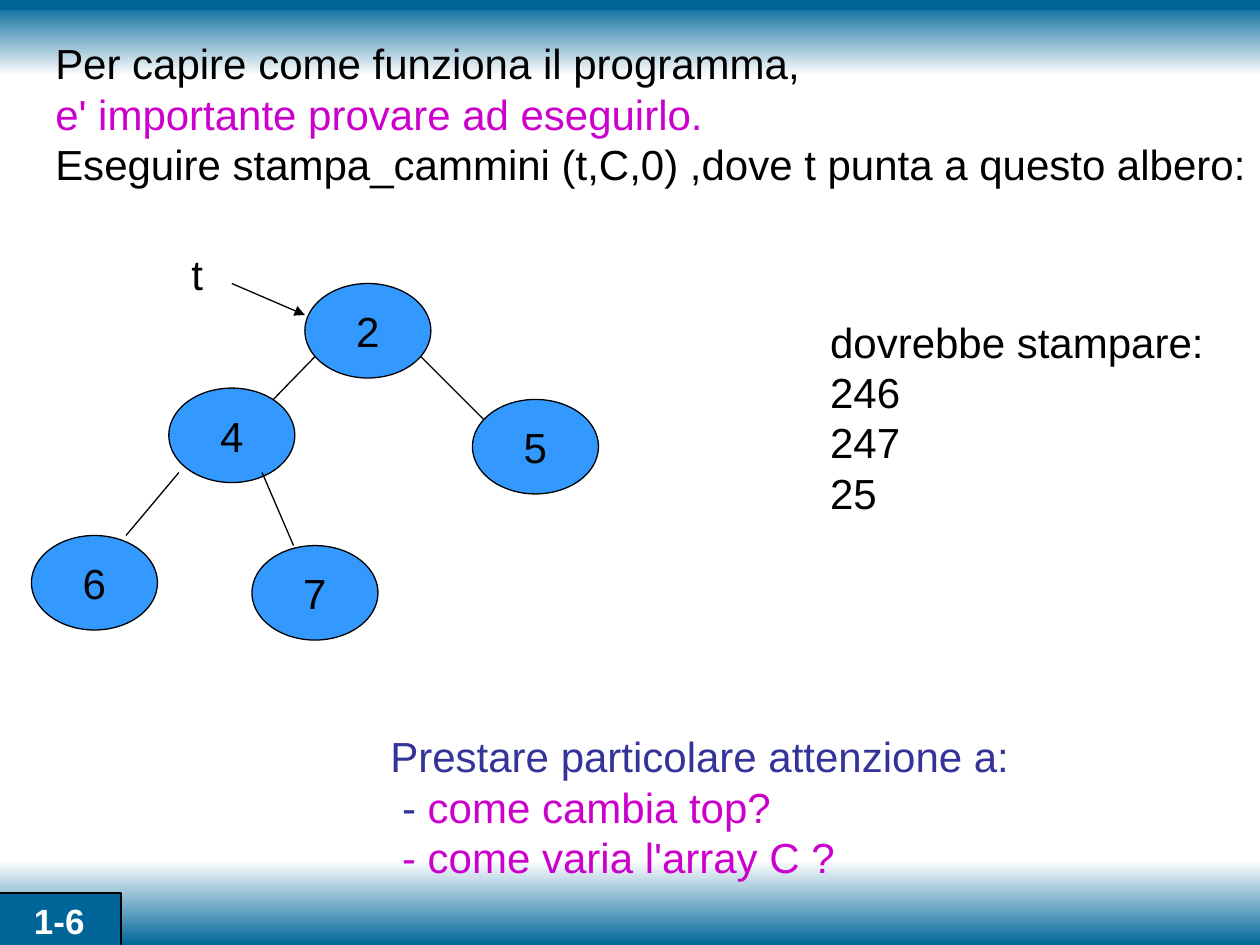
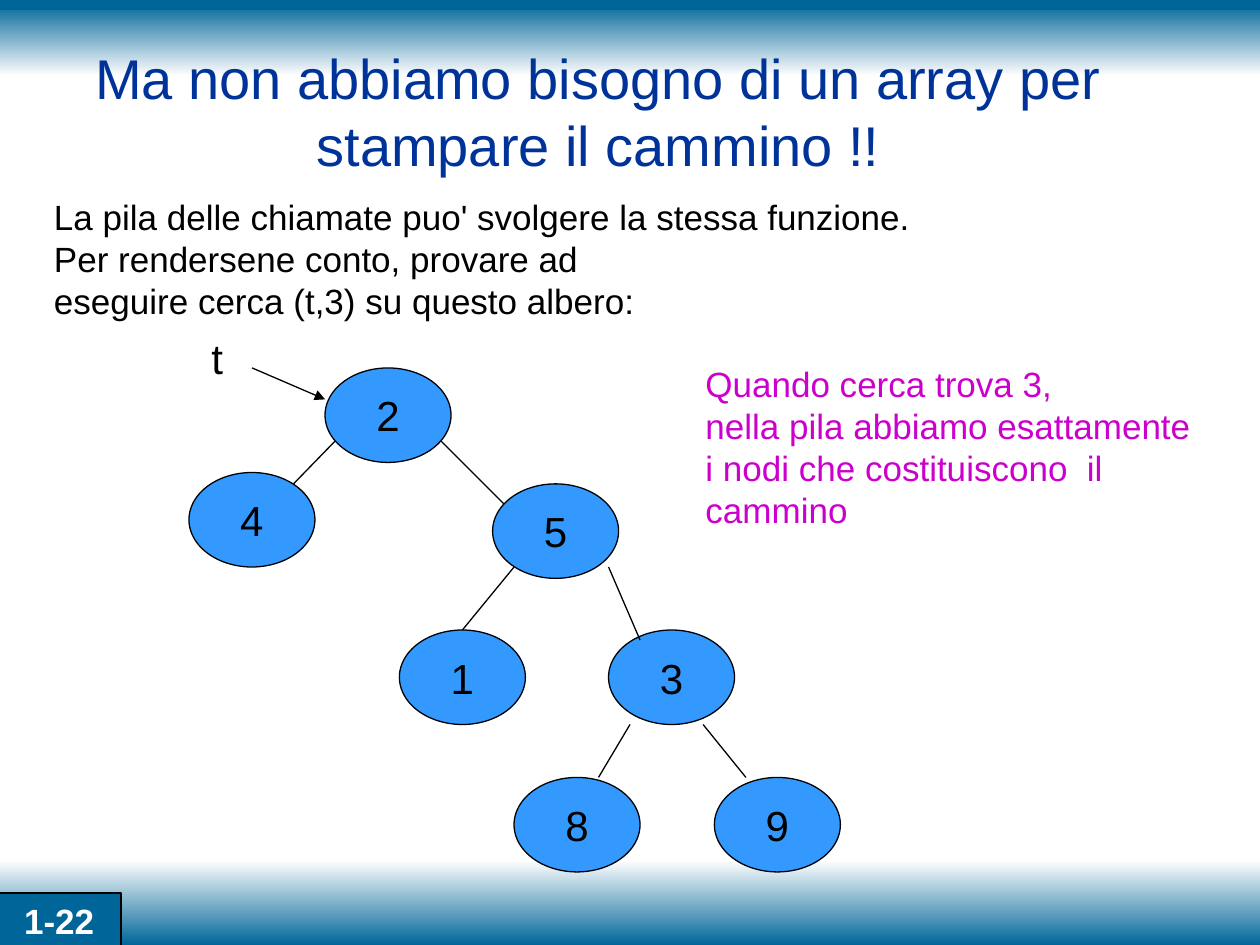
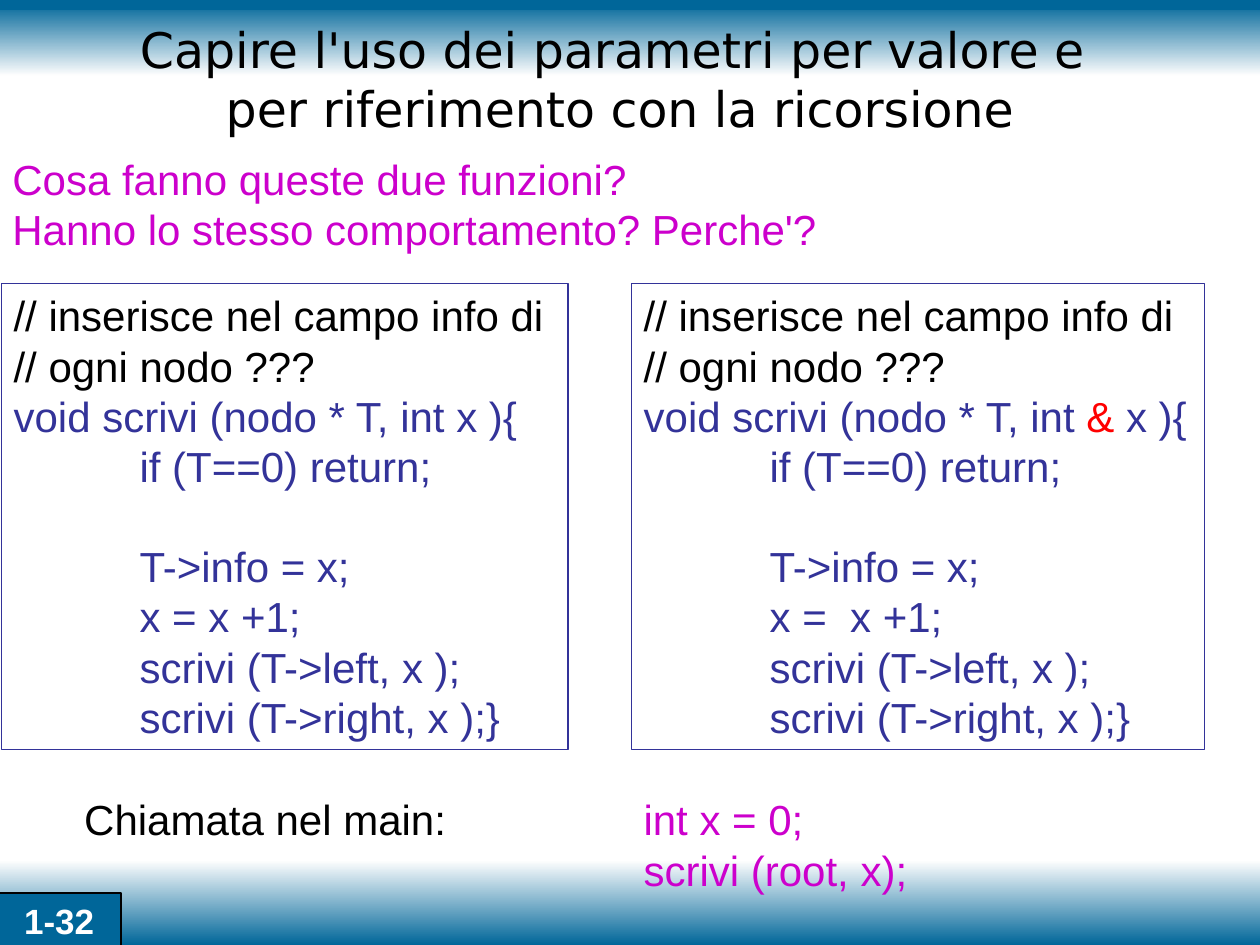
from copy import deepcopy

from pptx import Presentation
from pptx.dml.color import RGBColor
from pptx.enum.shapes import MSO_CONNECTOR, MSO_SHAPE
from pptx.enum.text import MSO_ANCHOR, MSO_AUTO_SIZE, PP_ALIGN
from pptx.oxml.ns import qn
from pptx.util import Inches, Pt
from lxml import etree

RECT, OVAL = MSO_SHAPE.RECTANGLE, MSO_SHAPE.OVAL
STRAIGHT = MSO_CONNECTOR.STRAIGHT
LEFT, CENTER = PP_ALIGN.LEFT, PP_ALIGN.CENTER
TOP, MIDDLE = MSO_ANCHOR.TOP, MSO_ANCHOR.MIDDLE
NO_FIT, GROW = MSO_AUTO_SIZE.NONE, MSO_AUTO_SIZE.SHAPE_TO_FIT_TEXT

BLACK, WHITE, PALE = "000000", "FFFFFF", "FEFEFE"
TEAL, NAVY, INDIGO = "006699", "003399", "333399"
PINK, RED, SKY = "CC00CC", "FF0000", "3399FF"
SANS, WIDE = "Arial", "DejaVu Sans"
NODE_W, NODE_H = 1, 0.75
CODE_GAP = 28


def rgb(code):
    return RGBColor.from_string(code)


def apply(target, style):
    for key, value in style.items():
        setattr(target, key, value)


def write(frame, lines, size=24, color=BLACK, align=LEFT, font=SANS, bold=False, **style):
    """Fill a frame; a line is a string or a list of (text, color) runs."""
    apply(frame, {"word_wrap": False, "auto_size": GROW, "vertical_anchor": TOP, **style})
    for i, line in enumerate(lines):
        para = frame.add_paragraph() if i else frame.paragraphs[0]
        para.alignment = align
        for text, tint in [(line, color)] if isinstance(line, str) else line:
            for j, part in enumerate(text.split("\v")):
                if j:
                    para.add_line_break()
                run = para.add_run()
                run.text = part
                apply(run.font, {"name": font, "size": Pt(size), "bold": bold})
                run.font.color.rgb = rgb(tint)
                if j:
                    brk = run._r.getprevious()
                    brk.append(deepcopy(run._r.rPr))


def shape(slide, kind, box, fill=None, line=None, width=0.75):
    item = slide.shapes.add_shape(kind, *map(Inches, box))
    item.shadow.inherit = False
    if fill:
        item.fill.solid()
        item.fill.fore_color.rgb = rgb(fill)
    else:
        item.fill.background()
    if line:
        item.line.color.rgb = rgb(line)
        item.line.width = Pt(width)
    else:
        item.line.fill.background()
    return item


def label(slide, box, lines, **style):
    write(slide.shapes.add_textbox(*map(Inches, box)).text_frame, lines, **style)


def link(slide, x1, y1, x2, y2, color=BLACK, width=0.75, arrow=False):
    line = slide.shapes.add_connector(STRAIGHT, *map(Inches, (x1, y1, x2, y2)))
    line.line.color.rgb = rgb(color)
    line.line.width = Pt(width)
    props = line.element.spPr
    if arrow:
        etree.SubElement(props.find(qn("a:ln")), qn("a:tailEnd"), type="triangle")
    etree.SubElement(props, qn("a:effectLst"))


def band(slide, top, height, first, last):
    item = shape(slide, RECT, (0, top, 10, height))
    item.fill.gradient()
    item.fill.gradient_angle = 270
    for stop, color in zip(item.fill.gradient_stops, (first, last)):
        stop.color.rgb = rgb(color)


def page(deck, number, layout=6):
    """Add a slide with its bands and page tag."""
    slide = deck.slides.add_slide(deck.slide_layouts[layout])
    band(slide, 0.02, 0.58, TEAL, PALE)
    band(slide, 6.83, 0.67, PALE, TEAL)
    link(slide, 0, 0.04, 10, 0.04, TEAL, 6)
    tag = shape(slide, RECT, (-0.02, 7.09, 0.98, 0.44), TEAL, BLACK, 1)
    write(tag.text_frame, [number], 20, WHITE, CENTER, bold=True, word_wrap=True)
    return slide


def titled(deck, number, text, left, top, **style):
    slide = page(deck, number, 5)
    title = slide.shapes.title
    box = dict(left=left, top=top, width=8.5, height=1.25)
    apply(title, {key: Inches(value) for key, value in box.items()})
    write(title.text_frame, [text], align=CENTER, word_wrap=True,
          auto_size=NO_FIT, vertical_anchor=MIDDLE, **style)
    title.element.getparent().append(title.element)  # in front of the bands
    return slide


def node(slide, text, x, y):
    item = shape(slide, OVAL, (x, y, NODE_W, NODE_H), SKY, BLACK)
    write(item.text_frame, [text], align=CENTER, auto_size=NO_FIT, vertical_anchor=MIDDLE)


def tree(slide, x, y, nodes, links):
    """Draw root 2 at x, y with children 4 and 5, then the lower nodes."""
    crown = [("2", x, y), ("5", x + 1.33, y + 0.92), ("4", x - 1.08, y + 0.83)]
    for item in crown + nodes:
        node(slide, *item)
    joins = [(x + 0.08, y + 0.58, x - 0.25, y + 0.92),
             (x + 0.92, y + 0.58, x + 1.42, y + 1.08)]
    for ends in joins + links:
        link(slide, *ends)
    link(slide, x - 0.58, y, x, y + 0.25, arrow=True)
    label(slide, (x - 1, y - 0.33, 0.29, 0.5), ["t"])


def tab_stop(para, inch):
    stops = etree.SubElement(para._p.get_or_add_pPr(), qn("a:tabLst"))
    etree.SubElement(stops, qn("a:tab"), pos=str(Inches(inch)), algn="l")


def code(slide, left, width, head, step):
    lines = ["// inserisce nel campo info di", "// ogni nodo ???", head]
    body = ["if (T==0) return;", "T->info = x;", step,
            "scrivi (T->left, x );", "scrivi (T->right, x );}"]
    lines += [[("\t" + line, INDIGO)] for line in body]
    frame = shape(slide, RECT, (left, 2.25, width, 3.7), line=INDIGO).text_frame
    write(frame, lines)
    for para in frame.paragraphs[3:]:
        tab_stop(para, 1)
    frame.paragraphs[4].space_before = Pt(CODE_GAP)


def run_slide(deck):
    slide = page(deck, "1-6")
    label(slide, (0.34, 0.25, 9.65, 1.3), [
        "Per capire come funziona il programma,",
        [("e' importante provare ad eseguirlo.", PINK)],
        "Eseguire stampa_cammini (t,C,0) ,dove t punta a questo albero:"])
    label(slide, (3, 5.75, 5.11, 1.3), [
        "Prestare particolare attenzione a:",
        [(" - ", INDIGO), ("come cambia top?", PINK)],
        [(" - come varia l'array C ?", PINK)]], color=INDIGO)
    tree(slide, 2.42, 2.25, [("7", 2, 4.33), ("6", 0.25, 4.25)],
         [(2.08, 3.75, 2.33, 4.33), (1.42, 3.75, 1, 4.25)])
    label(slide, (6.49, 2.46, 3.3, 1.7), ["dovrebbe stampare:", "246", "247", "25"])


def stack_slide(deck):
    slide = titled(deck, "1-22",
                   "Ma non abbiamo bisogno di un array per stampare il cammino !!",
                   0.5, 0.25, size=32, color=NAVY)
    label(slide, (0.33, 1.5, 7, 1.1), [
        "La pila delle chiamate puo' svolgere la stessa funzione.",
        "Per rendersene conto, provare ad",
        "eseguire cerca (t,3) su questo albero:"], size=20)
    tree(slide, 2.58, 2.92,
         [("3", 4.83, 5), ("1", 3.17, 5), ("8", 4.08, 6.17), ("9", 5.67, 6.17)],
         [(4.83, 4.5, 5.08, 5.08), (4.08, 4.5, 3.67, 5),
          (5.58, 5.75, 5.92, 6.17), (5, 5.75, 4.75, 6.17)])
    label(slide, (5.5, 2.83, 4.05, 1.44), [
        "Quando cerca trova 3,", "nella pila abbiamo esattamente",
        "i nodi che costituiscono  il", "cammino"], size=20, color=PINK)


def param_slide(deck):
    slide = titled(deck, "1-32",
                   "Capire l'uso dei parametri per valore e \vper riferimento con la ricorsione",
                   0.67, 0, size=28, font=WIDE)
    label(slide, (0, 1.17, 6.58, 0.9), [
        "Cosa fanno queste due funzioni?",
        "Hanno lo stesso comportamento? Perche'?"], color=PINK)
    code(slide, 0.01, 4.5, [("void scrivi (nodo * T, int x ){", INDIGO)], "x = x +1;")
    code(slide, 5.01, 4.55, [("void scrivi (nodo * T, int ", INDIGO), ("&", RED),
                             (" x ){", INDIGO)], "x =  x +1;")
    label(slide, (0.57, 6.25, 3.3, 0.5), ["Chiamata nel main:"])
    label(slide, (5.01, 6.25, 2.5, 0.9), ["int x = 0;", "scrivi (root, x);"], color=PINK)


def main():
    deck = Presentation()
    deck.slide_width, deck.slide_height = Inches(10), Inches(7.5)
    run_slide(deck)
    stack_slide(deck)
    param_slide(deck)
    deck.save("out.pptx")


if __name__ == "__main__":
    main()
